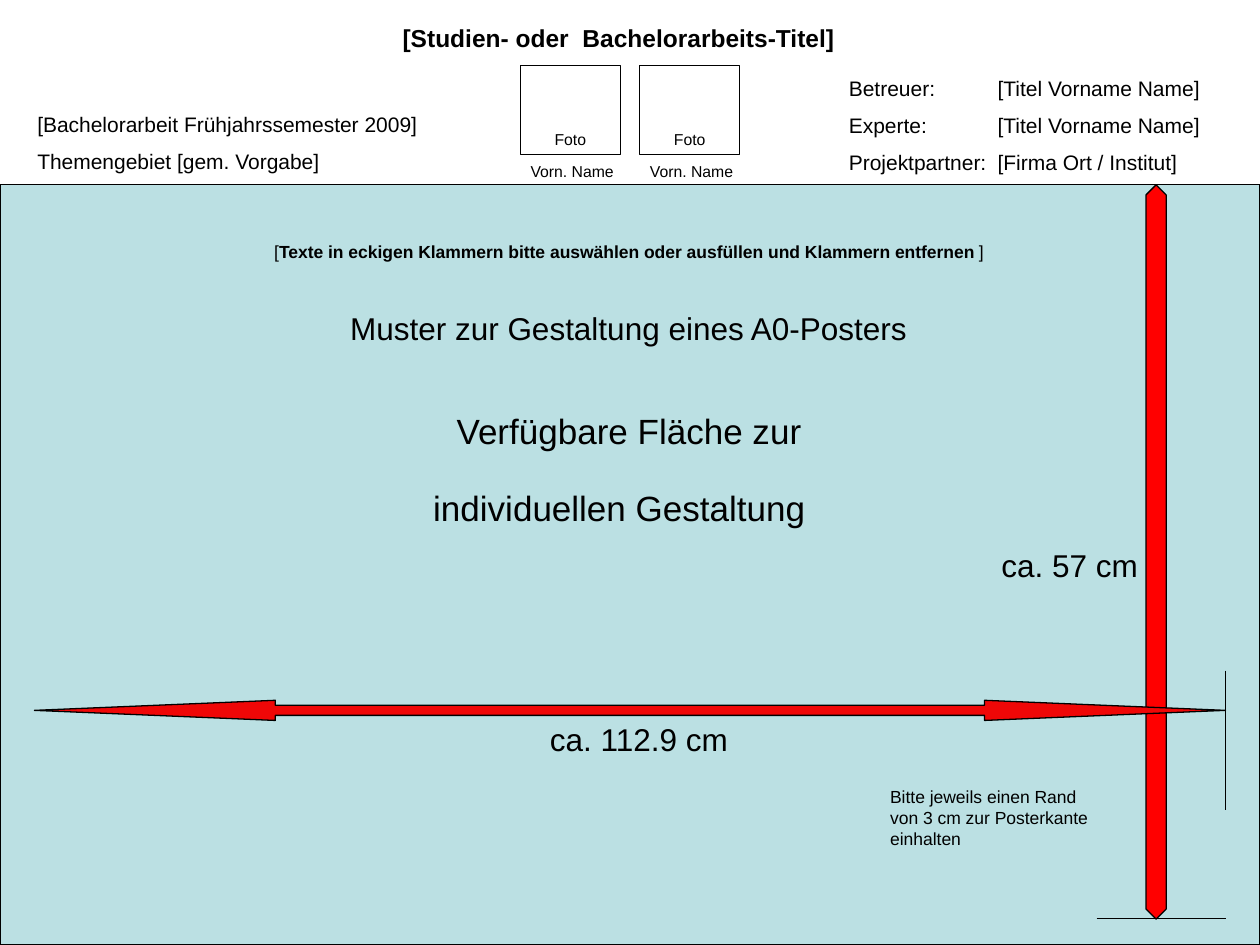
from dataclasses import dataclass

from lxml import etree
from pptx import Presentation
from pptx.dml.color import RGBColor
from pptx.enum.shapes import MSO_CONNECTOR, MSO_SHAPE
from pptx.enum.text import MSO_ANCHOR, PP_ALIGN
from pptx.oxml.ns import qn
from pptx.util import Pt

LEFT, CENTER, RIGHT = PP_ALIGN.LEFT, PP_ALIGN.CENTER, PP_ALIGN.RIGHT
TOP, MIDDLE, BOTTOM = MSO_ANCHOR.TOP, MSO_ANCHOR.MIDDLE, MSO_ANCHOR.BOTTOM
RECTANGLE = MSO_SHAPE.RECTANGLE
VERTICAL_ARROW = MSO_SHAPE.UP_DOWN_ARROW
HORIZONTAL_ARROW = MSO_SHAPE.LEFT_RIGHT_ARROW
STRAIGHT = MSO_CONNECTOR.STRAIGHT


@dataclass(frozen=True)
class Theme:
    """Colours, font and type sizes of the poster."""
    font: str = "Arial"
    ink: RGBColor = RGBColor(0x00, 0x00, 0x00)
    area: RGBColor = RGBColor(0xBB, 0xE0, 0xE3)
    height_arrow: RGBColor = RGBColor(0xFF, 0x00, 0x00)
    width_arrow: RGBColor = RGBColor(0xEF, 0x07, 0x07)
    outline: float = 0.75
    caption: float = 9
    note: float = 10
    detail: float = 12
    title: float = 14
    label: float = 18
    headline: float = 20
    spacer: float = 40


THEME = Theme()


def write(frame, lines, size, align=LEFT, bold=False, gap=0):
    """Fill a text frame with one paragraph per line and return them."""
    paragraphs = []
    for number, line in enumerate(lines):
        paragraph = frame.add_paragraph() if number else frame.paragraphs[0]
        paragraph.text = line
        paragraph.alignment = align
        paragraph.space_after = Pt(gap)
        font = paragraph.font
        font.name, font.size, font.bold = THEME.font, Pt(size), bold
        font.color.rgb = THEME.ink
        paragraphs.append(paragraph)
    return paragraphs


def add_text(slide, box, lines, size, wrap=True, **style):
    """Add a text box and return its paragraphs."""
    frame = slide.shapes.add_textbox(*map(Pt, box)).text_frame
    frame.word_wrap = wrap
    frame.vertical_anchor = TOP
    return write(frame, lines, size, **style)


def add_outlined(slide, kind, box, fill=None, adjustments=()):
    """Add a thinly outlined preset shape, unfilled when fill is None."""
    shape = slide.shapes.add_shape(kind, *map(Pt, box))
    shape.shadow.inherit = False
    if fill is None:
        shape.fill.background()
    else:
        shape.fill.solid()
        shape.fill.fore_color.rgb = fill
    shape.line.color.rgb = THEME.ink
    shape.line.width = Pt(THEME.outline)
    for index, value in enumerate(adjustments):
        shape.adjustments[index] = value
    return shape


def add_line(slide, *ends):
    """Add a thin straight line from x1, y1 to x2, y2."""
    line = slide.shapes.add_connector(STRAIGHT, *map(Pt, ends))
    line.line.color.rgb = THEME.ink
    line.line.width = Pt(THEME.outline)
    etree.SubElement(line.element.spPr, qn("a:effectLst"))


def set_tab(paragraph, position):
    """Give a paragraph one left tab stop."""
    tabs = etree.SubElement(paragraph._p.get_or_add_pPr(), qn("a:tabLst"))
    etree.SubElement(tabs, qn("a:tab"), pos=str(Pt(position)), algn="l")
    properties = paragraph._p.pPr
    default_font = properties.find(qn("a:defRPr"))
    if default_font is not None:
        default_font.addprevious(tabs)


def add_header(slide):
    """Add the title, thesis details, supervisors and photo frames."""
    add_text(slide, (223, 9.4, 330, 24.5),
             ["[Studien- oder  Bachelorarbeits-Titel]"], THEME.title, bold=True)
    add_text(slide, (14.2, 60.5, 279, 44),
             ["[Bachelorarbeit Frühjahrssemester 2009]",
              "Themengebiet [gem. Vorgabe]"], THEME.detail, gap=6.6)
    contacts = ["Betreuer:\t[Titel Vorname Name]",
                "Experte:\t[Titel Vorname Name]",
                "Projektpartner:\t[Firma Ort / Institut]"]
    for paragraph in add_text(slide, (478, 39.8, 230.4, 65), contacts,
                              THEME.detail, gap=6.6):
        set_tab(paragraph, 85)
    for column in range(2):
        left = 297.4 + 68.2 * column
        photo = add_outlined(slide, RECTANGLE, (left, 37.4, 57, 51))
        photo.text_frame.vertical_anchor = BOTTOM
        write(photo.text_frame, ["Foto"], THEME.caption, CENTER)
        add_text(slide, (left - 4.5, 88.6, 68, 18), ["Vorn. Name"],
                 THEME.caption, align=CENTER)


def add_poster_area(slide):
    """Add the free area with its height label and the centred texts."""
    area = add_outlined(slide, RECTANGLE, (0, 105.6, 720, 434.4), THEME.area)
    area.text_frame.vertical_anchor = MIDDLE
    area.text_frame.margin_right = Pt(69.7)
    write(area.text_frame, ["ca. 57 cm"], THEME.label, RIGHT)

    [hint] = add_text(slide, (149.6, 134, 421, 19.5), ["["], THEME.note,
                      wrap=False)
    emphasis = hint.add_run()
    emphasis.text = ("Texte in eckigen Klammern bitte auswählen oder "
                     "ausfüllen und Klammern entfernen ")
    emphasis.font.bold = True
    hint.add_run().text = "]"

    add_text(slide, (193, 173, 333.6, 29),
             ["Muster zur Gestaltung eines A0-Posters"], THEME.label,
             wrap=False)
    headline = add_text(slide, (182, 230.7, 355, 79),
                        ["Verfügbare Fläche zur", "individuellen Gestaltung"],
                        THEME.headline, align=CENTER)
    spacer = headline[-1].add_run()
    spacer.text = " "
    spacer.font.size = Pt(THEME.spacer)


def add_dimensions(slide):
    """Add the dimension arrows, edge marks and margin note."""
    add_outlined(slide, VERTICAL_ARROW, (654.9, 105.6, 11.5, 419.6),
                 THEME.height_arrow, (0.5, 7.458))
    add_line(slide, 700.4, 383.2, 700.4, 462.7)
    add_line(slide, 626.6, 525, 700.4, 525)
    add_text(slide, (501.6, 445.6, 127.5, 43),
             ["Bitte jeweils einen Rand", "von 3 cm zur Posterkante",
              "einhalten"], THEME.note, wrap=False)
    add_outlined(slide, HORIZONTAL_ARROW, (19.7, 400.2, 680.6, 11.5),
                 THEME.width_arrow, (0.5, 11.963))
    add_text(slide, (307.2, 407.8, 117.5, 29), ["ca. 112.9 cm"], THEME.label,
             wrap=False)


def main():
    """Build the poster template slide."""
    presentation = Presentation()
    presentation.slide_width, presentation.slide_height = Pt(720), Pt(540)
    slide = presentation.slides.add_slide(presentation.slide_layouts[6])
    add_header(slide)
    add_poster_area(slide)
    add_dimensions(slide)
    presentation.save("out.pptx")


main()
